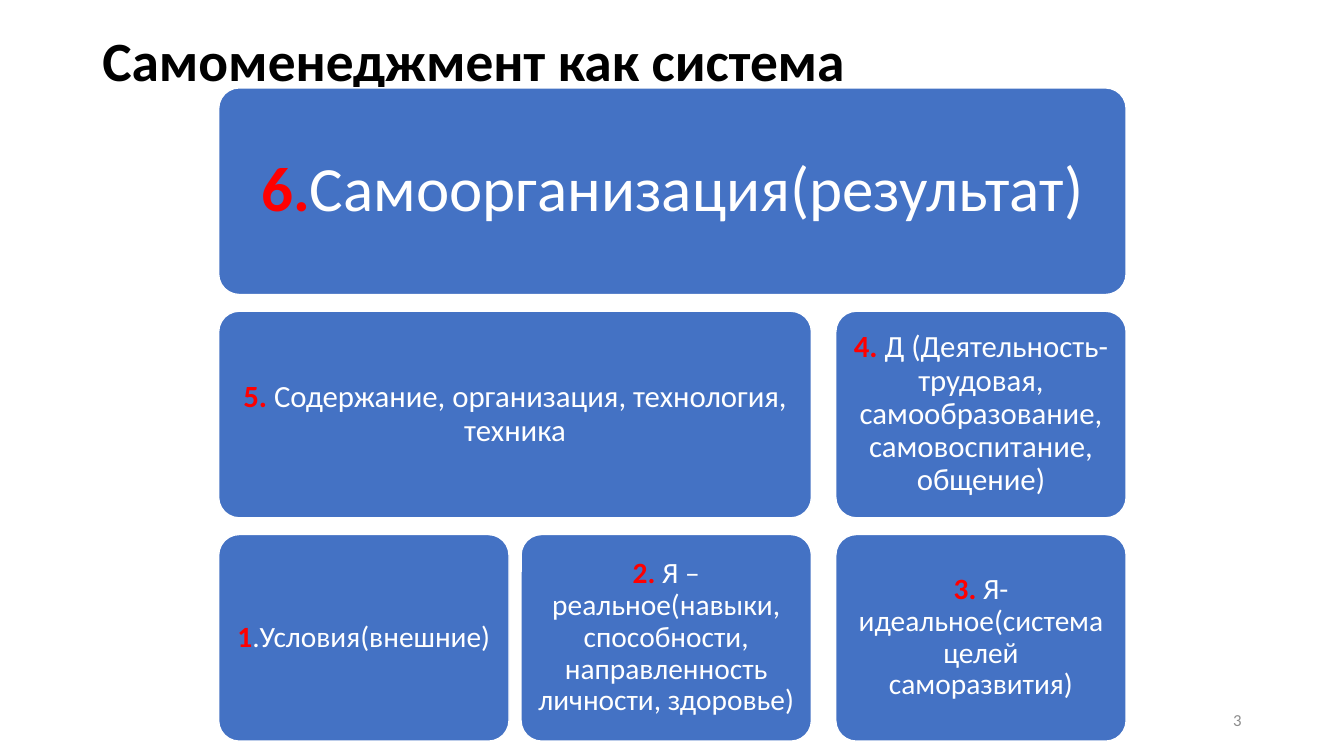
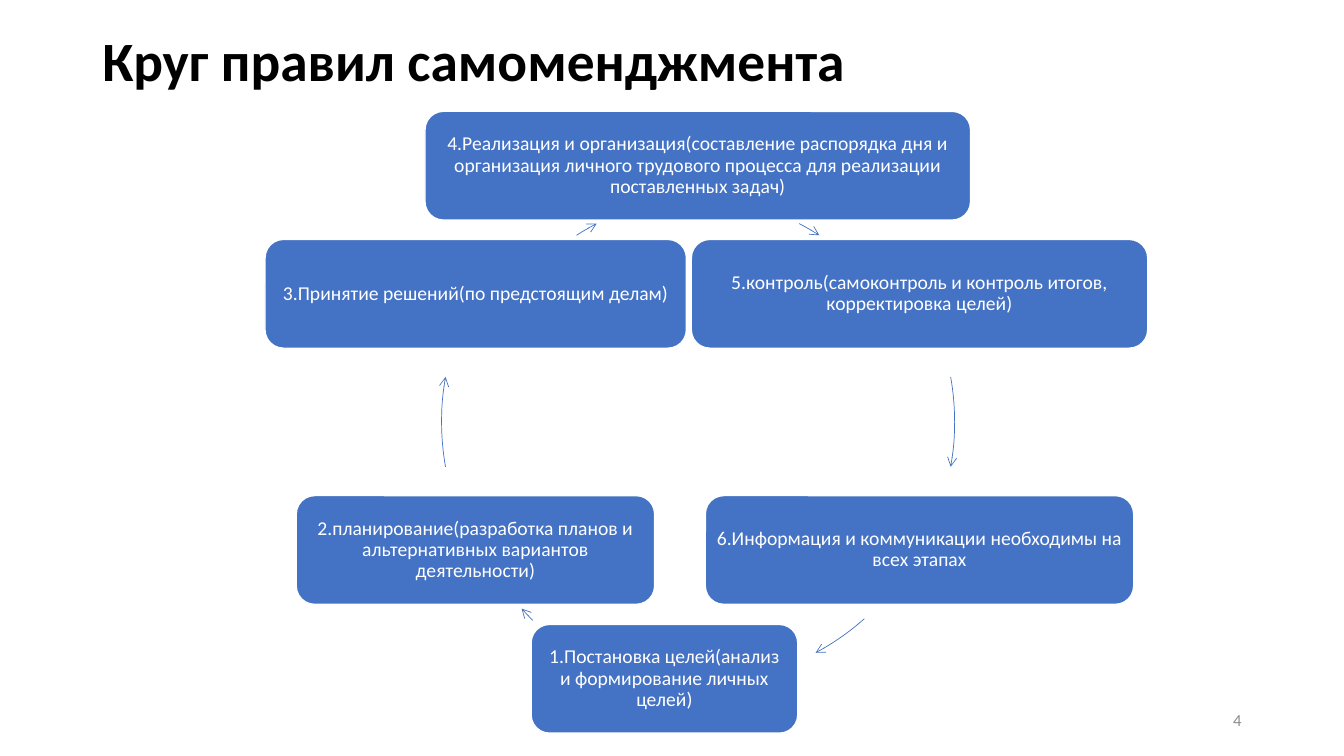
"""Builds two slides on self-management: a block system and a circle of rules."""
from lxml.etree import SubElement
from pptx import Presentation
from pptx.dml.color import RGBColor
from pptx.enum.shapes import MSO_SHAPE as SHAPE
from pptx.enum.text import MSO_ANCHOR as ANCHOR, PP_ALIGN as ALIGN
from pptx.oxml.ns import qn
from pptx.util import Pt

BLUE, WHITE, RED, BLACK, GREY = "4472C4", "FFFFFF", "FF0000", "000000", "8C8C8C"
FONT = "Calibri"
rgb = RGBColor.from_string


def write(sp, parts, size, align, inset_x=7.2, inset_y=3.6):
    tf = sp.text_frame
    tf.word_wrap = True
    tf.vertical_anchor = ANCHOR.MIDDLE
    tf.margin_left = tf.margin_right = Pt(inset_x)
    tf.margin_top = tf.margin_bottom = Pt(inset_y)
    p = tf.paragraphs[0]
    p.alignment = align
    p.line_spacing = 0.9
    for text, color, bold in parts:
        r = p.add_run()
        r.text = text
        r.font.name = FONT
        r.font.size = Pt(size)
        r.font.bold = bold
        r.font.color.rgb = rgb(color)


def add_box(s, left, top, width, height, corner, parts, size, inset):
    sp = s.shapes.add_shape(SHAPE.ROUNDED_RECTANGLE, Pt(left), Pt(top), Pt(width), Pt(height))
    sp.adjustments[0] = corner
    sp.shadow.inherit = False
    sp.fill.solid()
    sp.fill.fore_color.rgb = rgb(BLUE)
    sp.line.color.rgb = rgb(WHITE)
    sp.line.width = Pt(1)
    write(sp, parts, size, ALIGN.CENTER, inset, inset)


prs = Presentation()
prs.slide_width, prs.slide_height = Pt(960), Pt(540)

slides = []
for number, title in [("3", "Самоменеджмент как система"), ("4", "Круг правил самоменджмента")]:
    s = prs.slides.add_slide(prs.slide_layouts[6])
    sp = s.shapes.add_textbox(Pt(66), Pt(29), Pt(828), Pt(33))
    write(sp, [(title, BLACK, True)], 39.6, ALIGN.LEFT)
    sp = s.shapes.add_textbox(Pt(678), Pt(500.5), Pt(216), Pt(28.75))
    write(sp, [(number, GREY, False)], 12, ALIGN.RIGHT)
    slides.append(s)
system, circle = slides

column_x = [156.2, 372.2, 597]
column_w, block_h, first_y, row_step = 207.4, 147.6, 62.8, 159.5
blocks = [
    (0, 0, 2, "6.", "Самоорганизация(результат)", 45, 13.7),
    (1, 0, 1, "5. ", "Содержание, организация, технология, техника", 22, 6.6),
    (1, 2, 2, "4. ", "Д (Деятельность- трудовая, самообразование, самовоспитание, общение)", 22, 6.6),
    (2, 0, 0, "1", ".Условия(внешние)", 21, 6.3),
    (2, 1, 1, "2. ", "Я – реальное(навыки, способности, направленность личности, здоровье)", 21, 6.3),
    (2, 2, 2, "3. ", "Я- идеальное(система целей саморазвития)", 21, 6.3),
]
for row, first, last, number, text, size, inset in blocks:
    width = column_x[last] + column_w - column_x[first]
    parts = [(number, RED, True), (text, WHITE, False)]
    add_box(system, column_x[first], first_y + row * row_step, width, block_h, 0.1, parts, size, inset)

rules = [
    (303.6, 79.5, 389.7, "4.Реализация и организация(составление распорядка дня и организация "
     "личного трудового процесса для реализации поставленных задач)"),
    (493.8, 171, 326, "5.контроль(самоконтроль и контроль итогов, корректировка целей)"),
    (503.8, 354, 306, "6.Информация и коммуникации необходимы на всех этапах"),
    (379.4, 446, 190.5, "1.Постановка целей(анализ и формирование личных целей)"),
    (211.6, 354, 256, "2.планирование(разработка планов и альтернативных вариантов деятельности)"),
    (189.3, 171, 301, "3.Принятие решений(по предстоящим делам)"),
]
for left, top, width, text in rules:
    add_box(circle, left, top, width, 77.7, 0.17, [(text, WHITE, False)], 14, 4.2)

diameter = 366.5
arrows = [
    (303, 139, 297.5, 302.7),
    (315.4, 118.1, 349.9, 10.1),
    (312.5, 121.7, 48.4, 61.7),
    (326.2, 129.6, 134.7, 138.3),
    (315.4, 118.1, 169.9, 190.1),
    (327.6, 139, 237.3, 242.5),
]
for left, top, start, end in arrows:
    sp = circle.shapes.add_shape(SHAPE.ARC, Pt(left), Pt(top), Pt(diameter), Pt(diameter))
    sp.adjustments[0], sp.adjustments[1] = start * 0.6, end * 0.6
    sp.shadow.inherit = False
    sp.fill.background()
    sp.line.color.rgb = rgb(BLUE)
    sp.line.width = Pt(0.5)
    SubElement(sp.line._get_or_add_ln(), qn("a:tailEnd"), type="arrow")

prs.save("out.pptx")
